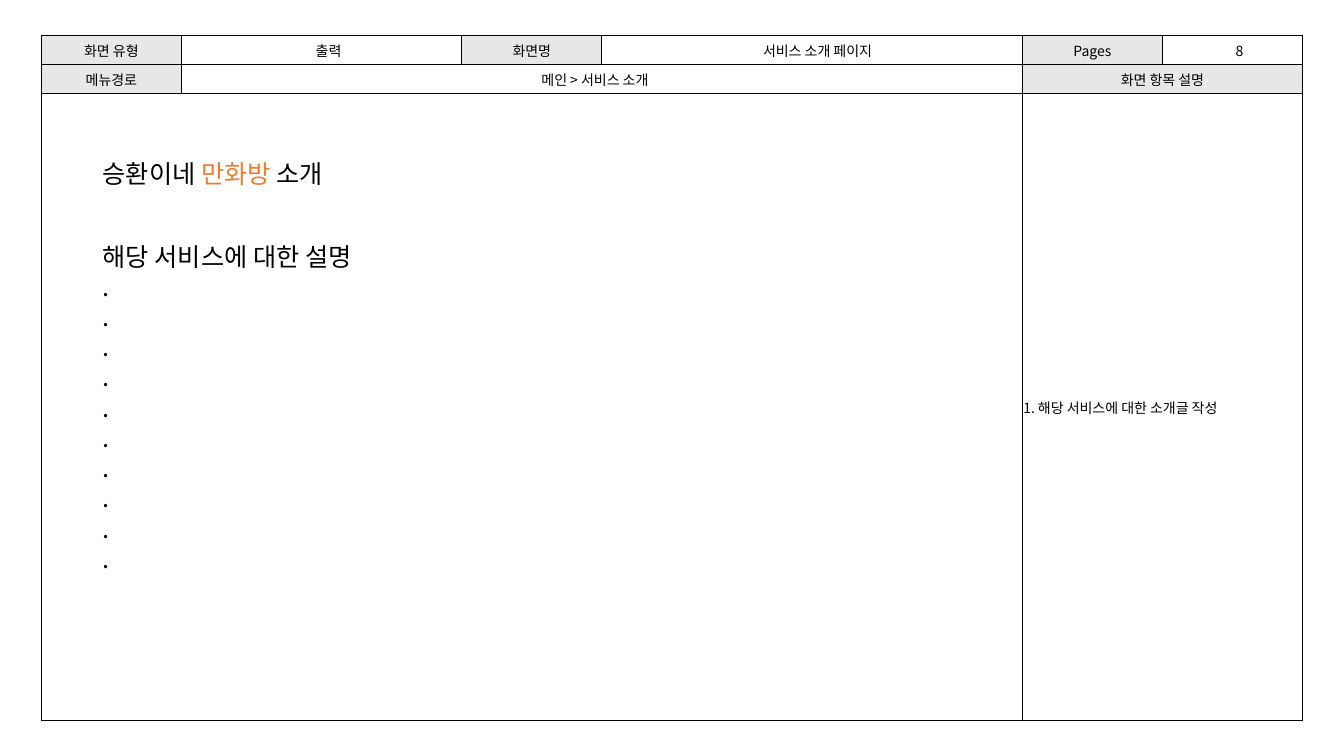
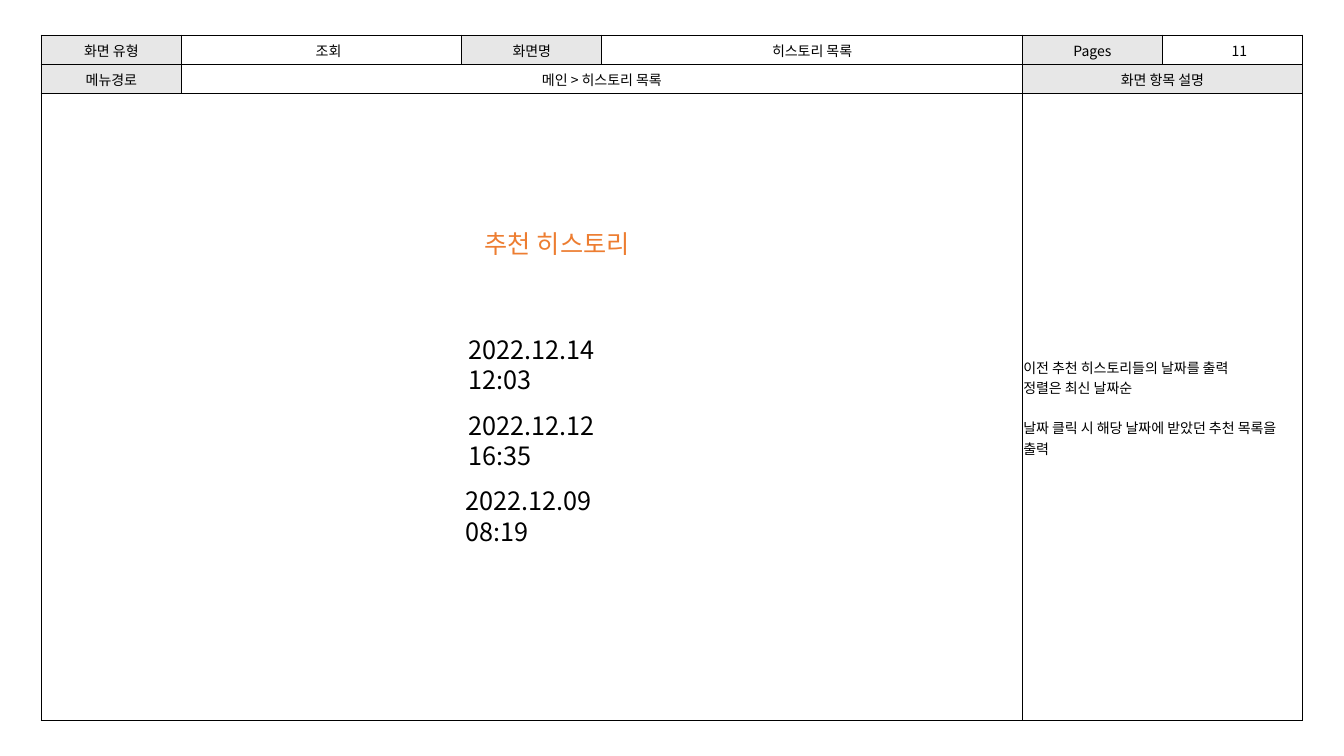
"""Build two screen specification slides with a shared form table."""
import lxml.etree
import pptx
import pptx.dml.color
import pptx.enum.text
import pptx.oxml.ns
import pptx.util

Inches = pptx.util.Inches
Pt = pptx.util.Pt
RGB = pptx.dml.color.RGBColor
qn = pptx.oxml.ns.qn
BLACK = RGB(0x00, 0x00, 0x00)
WHITE = RGB(0xFF, 0xFF, 0xFF)
GRAY = RGB(0xE7, 0xE7, 0xE7)
ORANGE = RGB(0xED, 0x7D, 0x31)


class Deck:
    """Holds the shared style and the current slide."""
    font = "Noto Sans CJK KR"
    cols = (1.39, 2.78, 1.39, 4.17, 1.39, 1.39)
    rows = (0.29, 0.29, 6.22)

    def __init__(self):
        """Start an empty wide deck."""
        self.prs = pptx.Presentation()
        self.prs.slide_width = Inches(13.33)
        self.prs.slide_height = Inches(7.5)

    def page(self):
        """Add a blank slide."""
        self.slide = self.prs.slides.add_slide(self.prs.slide_layouts[6])

    def style(self, run, size, color):
        """Set the font of a run for Latin and Korean letters."""
        run.font.size = Pt(size)
        run.font.name = self.font
        run.font.color.rgb = color
        east = lxml.etree.Element(qn("a:ea"), typeface=self.font)
        run.font._element.find(qn("a:latin")).addnext(east)

    def edge(self, cell):
        """Draw thin black lines around a cell."""
        props = cell._tc.get_or_add_tcPr()
        for side in "LRTB":
            line = lxml.etree.SubElement(props, qn("a:ln" + side), w=str(Pt(1)))
            fill = lxml.etree.SubElement(line, qn("a:solidFill"))
            lxml.etree.SubElement(fill, qn("a:srgbClr"), val=str(BLACK))

    def fill(self, cell, text, color=WHITE, center=True):
        """Write text into a cell and colour it."""
        cell.fill.solid()
        cell.fill.fore_color.rgb = color
        cell.text_frame.text = text
        for para in cell.text_frame.paragraphs:
            if center:
                para.alignment = pptx.enum.text.PP_ALIGN.CENTER
            for run in para.runs:
                self.style(run, 10, BLACK)

    def form(self, kind, name, number, route, notes):
        """Add the form table and return its notes cell."""
        width, height = Inches(sum(self.cols)), Inches(sum(self.rows))
        frame = self.slide.shapes.add_table(
            len(self.rows), len(self.cols), Inches(0.41), Inches(0.35), width, height)
        table = frame.table
        table.first_row = table.horz_banding = False
        for col, size in zip(table.columns, self.cols):
            col.width = Inches(size)
        for row, size in zip(table.rows, self.rows):
            row.height = Inches(size)
        for cell in table.iter_cells():
            cell.margin_left = cell.margin_right = cell.margin_top = Inches(0.01)
            cell.margin_bottom = 0
            cell.vertical_anchor = pptx.enum.text.MSO_ANCHOR.MIDDLE
            self.edge(cell)
        for row, first, last in ((1, 1, 3), (1, 4, 5), (2, 0, 3), (2, 4, 5)):
            table.cell(row, first).merge(table.cell(row, last))
        heads = ("화면 유형", kind, "화면명", name, "Pages", number)
        for col, text in enumerate(heads):
            self.fill(table.cell(0, col), text, WHITE if col % 2 else GRAY)
        self.fill(table.cell(1, 0), "메뉴경로", GRAY)
        self.fill(table.cell(1, 1), route)
        self.fill(table.cell(1, 4), "화면 항목 설명", GRAY)
        self.fill(table.cell(2, 0), "")
        self.fill(table.cell(2, 4), notes, center=False)
        return table.cell(2, 4)

    def text(self, left, top, width, height, *paras):
        """Add a text box; each paragraph is a list of text and colour pairs."""
        box = self.slide.shapes.add_textbox(
            Inches(left), Inches(top), Inches(width), Inches(height))
        frame = box.text_frame
        frame.word_wrap = True
        frame.auto_size = pptx.enum.text.MSO_AUTO_SIZE.SHAPE_TO_FIT_TEXT
        for index, parts in enumerate(paras):
            para = frame.add_paragraph() if index else frame.paragraphs[0]
            for words, color in parts:
                run = para.add_run()
                run.text = words
                self.style(run, 18, color)


deck = Deck()

deck.page()
deck.form("\u3000출력", "\u3000서비스 소개 페이지 ", "\u30008",
          "메인 > 서비스 소개\u3000", "1. 해당 서비스에 대한 소개글 작성")
deck.text(0.92, 1.52, 5.51, 0.4,
          [("승환이네 ", BLACK), ("만화방 ", ORANGE), ("소개", BLACK)])
deck.text(0.92, 2.34, 8.14, 3.43,
          [("해당 서비스에 대한 설명", BLACK)], *[[(".", BLACK)]] * 10)

deck.page()
notes = deck.form(
    "\u3000조회", "히스토리 목록", "\u300011", "메인 > 히스토리 목록",
    "이전 추천 히스토리들의 날짜를 출력\n정렬은 최신 날짜순\n"
    "날짜 클릭 시 해당 날짜에 받았던 추천 목록을 출력")
notes.text_frame.paragraphs[2].space_before = Pt(14.5)
dates = ((4.55, "2022.12.14 12:03"), (4.55, "2022.12.12 16:35"),
         (4.52, "2022.12.09 08:19"))
for index, (left, date) in enumerate(dates):
    deck.text(left, 3.27 + 0.75 * index, 2.1, 0.4, [(date, BLACK)])
deck.text(4.71, 2.22, 1.81, 0.4, [("추천 히스토리", ORANGE)])

deck.prs.save("out.pptx")
